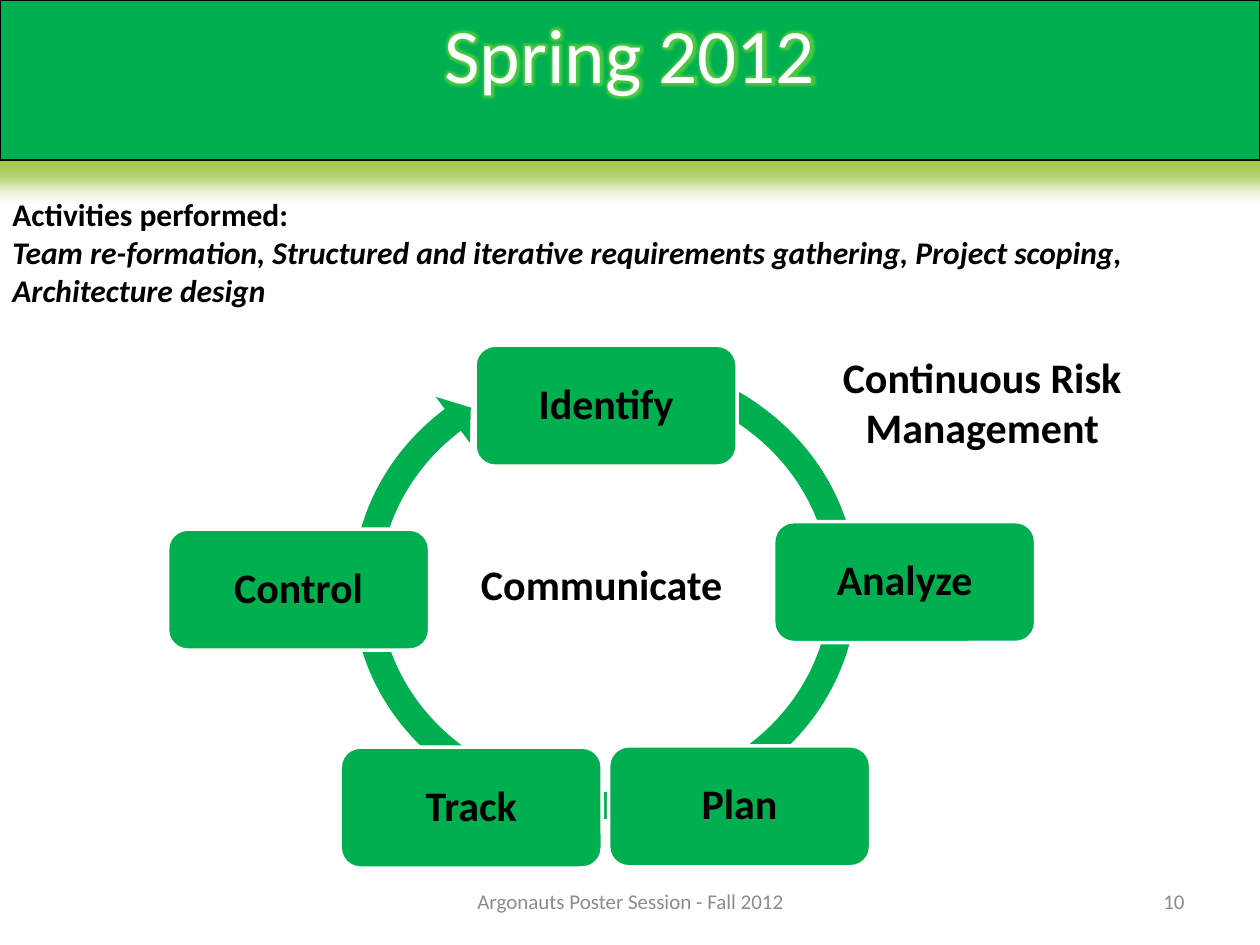
from dataclasses import dataclass

from lxml.etree import SubElement
from pptx import Presentation
from pptx.dml.color import RGBColor
from pptx.enum.shapes import MSO_SHAPE as Shape
from pptx.enum.text import MSO_ANCHOR as Anchor, PP_ALIGN as Align
from pptx.oxml.ns import qn
from pptx.util import Inches, Pt


@dataclass(frozen=True)
class Theme:
    font: str = "Calibri"
    green: RGBColor = RGBColor(0x00, 0xB0, 0x50)
    white: RGBColor = RGBColor(0xFF, 0xFF, 0xFF)
    black: RGBColor = RGBColor(0x00, 0x00, 0x00)
    gray: RGBColor = RGBColor(0x8C, 0x8C, 0x8C)
    banner_glow: str = "9BC23C"
    title_glow: str = "5CD03C"
    title_size: Pt = Pt(44)
    label_size: Pt = Pt(24)
    body_size: Pt = Pt(18)
    footer_size: Pt = Pt(12)


theme = Theme()


def write(shape, lines, size, color, align=Align.CENTER, bold=False, anchor=Anchor.TOP):
    frame = shape.text_frame
    frame.word_wrap = True
    frame.vertical_anchor = anchor
    frame.text = "\n".join(lines)
    for paragraph in frame.paragraphs:
        paragraph.alignment = align
        font = paragraph.font
        font.name, font.size, font.bold = theme.font, size, bold
        font.color.rgb = color
    return frame


def add_glow(effects, color, radius, opacity):
    glow = SubElement(effects, qn("a:glow"), rad=str(radius))
    tint = SubElement(glow, qn("a:srgbClr"), val=color)
    SubElement(tint, qn("a:alpha"), val=str(opacity * 1000))


presentation = Presentation()
presentation.slide_width, presentation.slide_height = Inches(10), Inches(7.5)
slide = presentation.slides.add_slide(presentation.slide_layouts[5])
shapes = slide.shapes

# Title banner with a soft glow below it
title = shapes.title
title.left, title.top, title.width, title.height = 0, 0, Inches(10), Inches(1.27)
title.fill.solid()
title.fill.fore_color.rgb = theme.green
title.line.color.rgb = theme.black
title.line.width = Pt(0.75)
title.shadow.inherit = False
add_glow(title._element.spPr.find(qn("a:effectLst")), theme.banner_glow, Inches(0.35), 90)
title_frame = write(title, ["Spring 2012"], theme.title_size, theme.white)
run_properties = title_frame.paragraphs[0].runs[0]._r.get_or_add_rPr()
add_glow(SubElement(run_properties, qn("a:effectLst")), theme.title_glow, Pt(7), 80)

# Activities
activities = shapes.add_textbox(Inches(0), Inches(1.5), Inches(9.92), Inches(1.01))
activities_frame = write(
    activities,
    ["Activities performed:",
     "Team re-formation, Structured and iterative requirements gathering, "
     "Project scoping, Architecture design"],
    theme.body_size, theme.black, Align.LEFT, bold=True)
activities_frame.paragraphs[1].font.italic = True

# Cycle arrow
arrow = shapes.add_shape(Shape.CIRCULAR_ARROW, Inches(2.68), Inches(2.71),
                         Inches(4.24), Inches(3.91))
for index, value in enumerate([0.055, 3.307, 136.72, 174.495, 0.058]):
    arrow.adjustments[index] = value
arrow.fill.solid()
arrow.fill.fore_color.rgb = theme.green
arrow.line.fill.background()
arrow.shadow.inherit = False

# Cycle steps
steps = [("Identify", 3.77, 2.74), ("Analyze", 6.14, 4.14), ("Plan", 4.83, 5.92),
         ("Track", 2.7, 5.93), ("Control", 1.33, 4.2)]
for name, left, top in steps:
    step = shapes.add_shape(Shape.ROUNDED_RECTANGLE, Inches(left), Inches(top),
                            Inches(2.08), Inches(0.96))
    step.fill.solid()
    step.fill.fore_color.rgb = theme.green
    step.line.color.rgb = theme.white
    step.line.width = Pt(2)
    step.shadow.inherit = False
    step_frame = write(step, [name], theme.label_size, theme.black,
                       bold=True, anchor=Anchor.MIDDLE)
    step_frame.paragraphs[0].line_spacing = 0.9

# Cycle captions
captions = [("Communicate", 3.35, 4.38, 0.5),
            ("Continuous Risk Management", 6.37, 2.74, 0.91)]
for text, left, top, height in captions:
    caption = shapes.add_textbox(Inches(left), Inches(top), Inches(2.85), Inches(height))
    write(caption, [text], theme.label_size, theme.black, bold=True)

# Footer and slide number
footers = [("Argonauts Poster Session - Fall 2012", 3.42, 3.17, Align.CENTER),
           ("10", 7.17, 2.33, Align.RIGHT)]
for text, left, width, align in footers:
    footer = shapes.add_textbox(Inches(left), Inches(6.95), Inches(width), Inches(0.4))
    write(footer, [text], theme.footer_size, theme.gray, align, anchor=Anchor.MIDDLE)

presentation.save("out.pptx")
